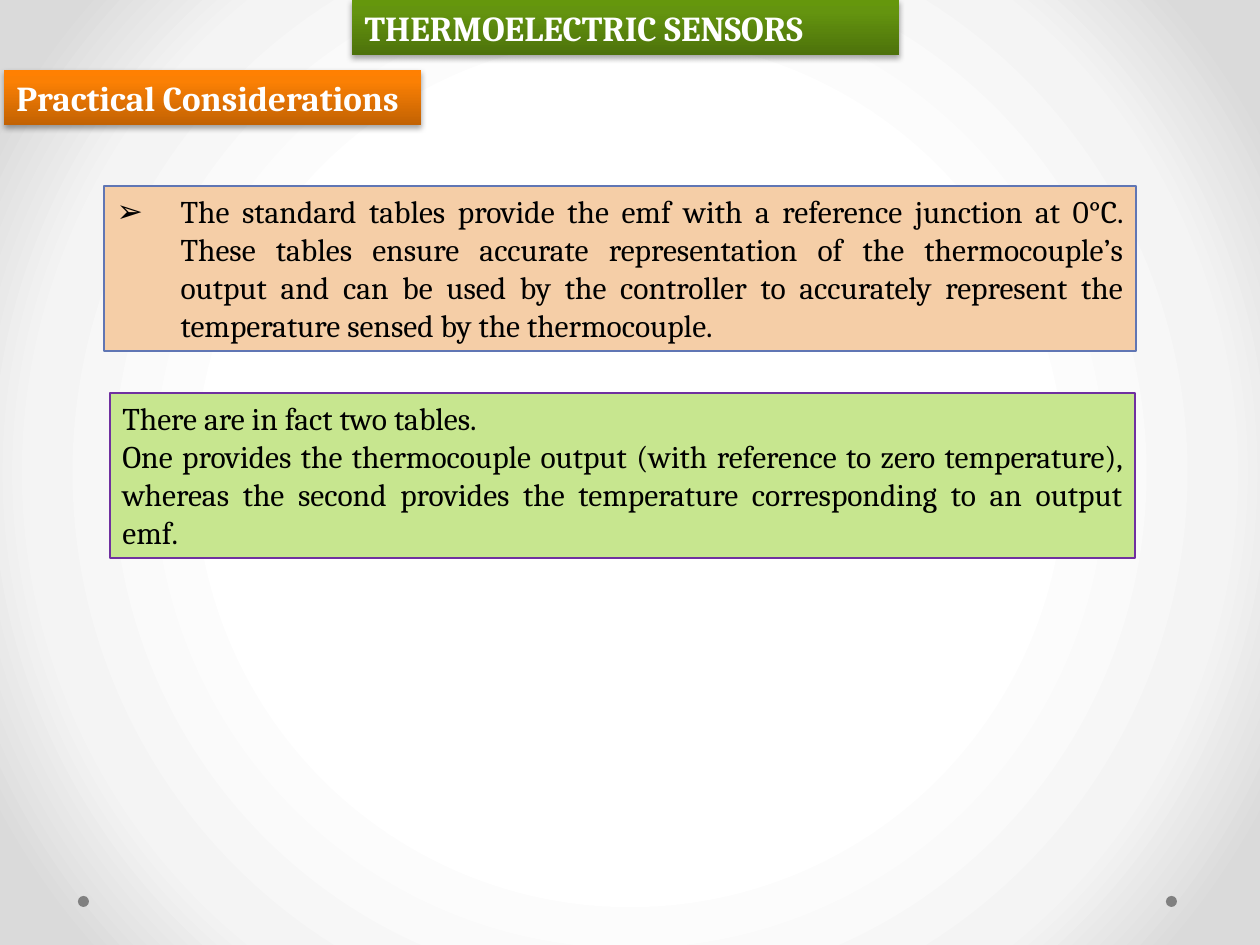
import pptx
import pptx.dml.color
import pptx.enum.shapes
import pptx.enum.text
import pptx.oxml.ns
import pptx.util
from lxml import etree

EMU_PER_PX = 914400 / 126
FONT = "Cambria"
JUSTIFY = pptx.enum.text.PP_ALIGN.JUSTIFY
LEFT = pptx.enum.text.PP_ALIGN.LEFT


def px(length):
    return pptx.util.Emu(round(length * EMU_PER_PX))


def rgb(hex_colour):
    return pptx.dml.color.RGBColor.from_string(hex_colour)


def sub(parent, tag, **attributes):
    """Append a DrawingML element to parent."""
    return etree.SubElement(parent, pptx.oxml.ns.qn(tag), attributes)


def set_gradient(fill, holder, stops):
    """Give the fill these (percent, colour) stops and return its element."""
    fill.gradient()
    gradient = next(holder.iter(pptx.oxml.ns.qn("a:gradFill")))
    gradient.clear()
    stop_list = sub(gradient, "a:gsLst")
    for percent, colour in stops:
        stop = sub(stop_list, "a:gs", pos=str(percent * 1000))
        sub(stop, "a:srgbClr", val=colour)
    return gradient


def paint_background(slide):
    gradient = set_gradient(slide.background.fill, slide.element,
                            [(50, "FFFFFF"), (76, "F4F4F4"), (92, "DADADA")])
    circle = sub(gradient, "a:path", path="circle")
    sub(circle, "a:fillToRect", l="50000", t="50000", r="50000", b="50000")


def add_corner_dot(slide, left, top):
    size = px(11)
    dot = slide.shapes.add_shape(pptx.enum.shapes.MSO_SHAPE.OVAL, px(left), px(top), size, size)
    dot.shadow.inherit = False
    dot.fill.solid()
    dot.fill.fore_color.rgb = rgb("808080")
    dot.line.fill.background()


def place(shape, left, top, width, height):
    shape.left, shape.top, shape.width, shape.height = map(px, (left, top, width, height))


def add_arrow_bullet(paragraph, indent):
    properties = paragraph._p.get_or_add_pPr()
    properties.set("marL", str(px(indent)))
    properties.set("indent", str(-px(indent)))
    sub(properties, "a:buChar", char="➢")


def write(shape, paragraphs, size, colour, alignment, bold=False, bullet_indent=None):
    frame = shape.text_frame
    frame.text = "\n".join(paragraphs)
    frame.word_wrap = True
    frame.auto_size = pptx.enum.text.MSO_AUTO_SIZE.NONE
    frame.vertical_anchor = pptx.enum.text.MSO_ANCHOR.TOP
    for paragraph in frame.paragraphs:
        if bullet_indent:
            add_arrow_bullet(paragraph, bullet_indent)
        paragraph.alignment = alignment
        paragraph.space_before = pptx.util.Pt(0)
        font = paragraph.font
        font.name, font.size, font.bold = FONT, pptx.util.Pt(size), bold
        font.color.rgb = rgb(colour)


def style_banner(banner, text, stops):
    """Make a heading bar with a vertical gradient and a soft drop shadow."""
    properties = banner.element.spPr
    gradient = set_gradient(banner.fill, properties, stops)
    sub(gradient, "a:lin", ang="16200000", scaled="0")
    effects = sub(properties, "a:effectLst")
    shadow = sub(effects, "a:outerShdw", blurRad=str(pptx.util.Pt(3.1)),
                 dist=str(pptx.util.Pt(1.8)), dir="5400000", rotWithShape="0")
    sub(sub(shadow, "a:srgbClr", val="000000"), "a:alpha", val="35000")
    write(banner, [text], 20, "FFFFFF", LEFT, bold=True)


def style_panel(panel, paragraphs, fill, outline, bullet_indent=None):
    panel.fill.solid()
    panel.fill.fore_color.rgb = rgb(fill)
    panel.line.color.rgb = rgb(outline)
    panel.line.width = pptx.util.Pt(0.75)
    write(panel, paragraphs, 18, "000000", JUSTIFY, bullet_indent=bullet_indent)


def main():
    presentation = pptx.Presentation()
    presentation.slide_width, presentation.slide_height = px(1260), px(945)
    slide = presentation.slides.add_slide(presentation.slide_layouts[1])
    paint_background(slide)
    for left in (1166, 78):
        add_corner_dot(slide, left, 896)

    reference = slide.placeholders[1]
    place(reference, 104, 186, 1032, 165)
    style_panel(reference, [
        "The standard tables provide the emf with a reference junction at 0°C. "
        "These tables ensure accurate representation of the thermocouple’s output "
        "and can be used by the controller to accurately represent the temperature "
        "sensed by the thermocouple."], "F5CEA7", "6076B4", bullet_indent=64)

    two_tables = slide.shapes.add_textbox(px(110), px(393), px(1025), px(165))
    style_panel(two_tables, [
        "There are in fact two tables.",
        "One provides the thermocouple output (with reference to zero temperature), "
        "whereas the second provides the temperature corresponding to an output emf."],
        "C7E68F", "7030A0")
    two_tables.text_frame.paragraphs[0].alignment = LEFT

    title = slide.shapes.title
    place(title, 352, 0, 547, 55)
    style_banner(title, "THERMOELECTRIC SENSORS",
                 [(0, "4D720B"), (80, "64940F"), (100, "65970C")])

    subtitle = slide.shapes.add_textbox(px(4), px(70), px(417), px(55))
    style_banner(subtitle, "Practical Considerations",
                 [(0, "C26203"), (80, "FB8004"), (100, "FF8002")])

    presentation.save("out.pptx")


if __name__ == "__main__":
    main()
